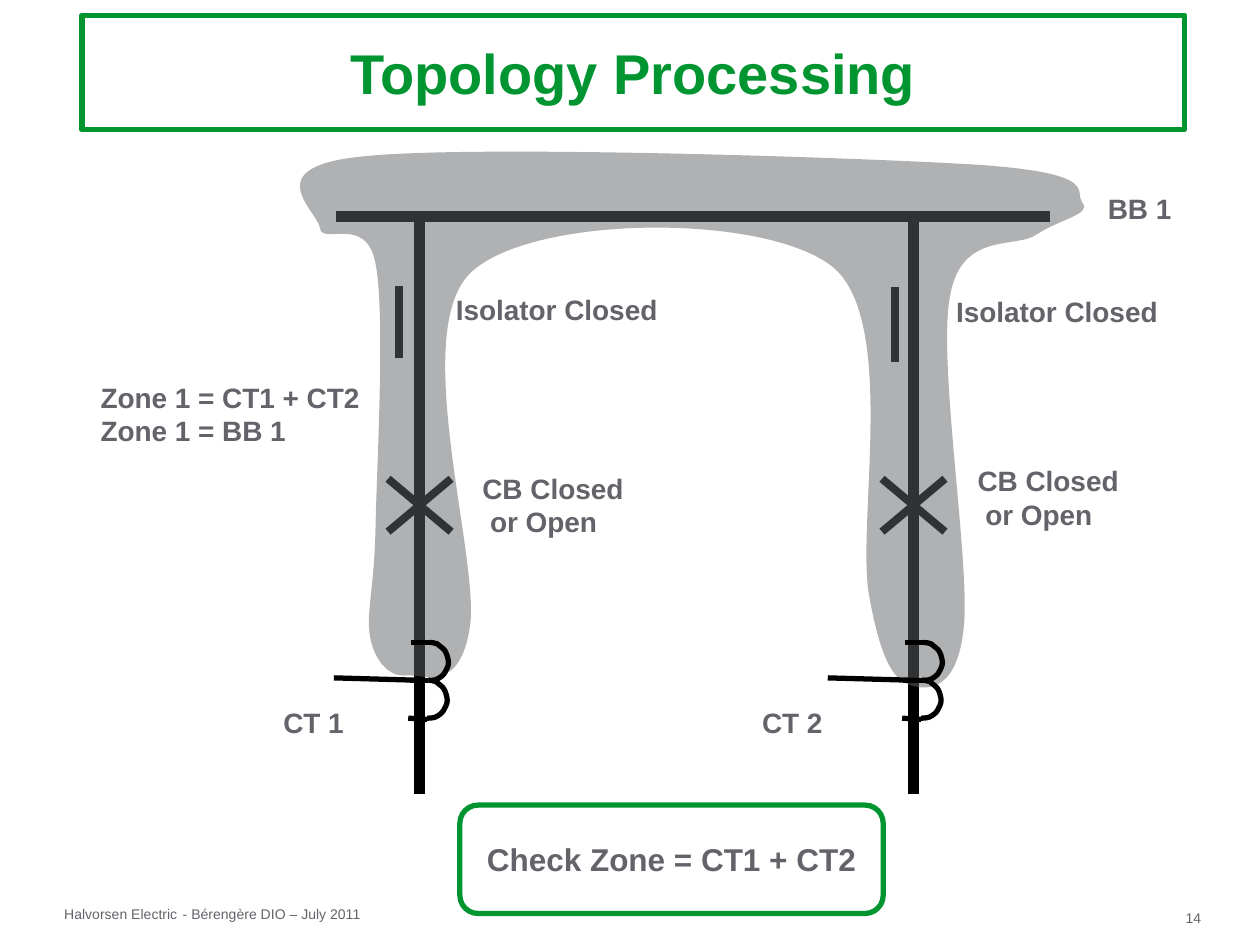
import pptx
import pptx.util
import pptx.dml.color
import pptx.enum.shapes
import pptx.enum.text
import pptx.oxml.ns
import lxml.etree

Inches = pptx.util.Inches
Pt = pptx.util.Pt
RGBColor = pptx.dml.color.RGBColor
Align = pptx.enum.text.PP_ALIGN
Anchor = pptx.enum.text.MSO_ANCHOR
AutoSize = pptx.enum.text.MSO_AUTO_SIZE
qn = pptx.oxml.ns.qn

GREEN = RGBColor(0x00, 0x95, 0x30)
GREY = RGBColor(0x62, 0x64, 0x69)
BLACK = RGBColor(0x00, 0x00, 0x00)
WHITE = RGBColor(0xFF, 0xFF, 0xFF)

BAY_TOP = 1.72
BAY_HEIGHT = 4.58

ZONE_CURVES = [
    (0.92, 3.92),
    (0.96, 4.11), (1.08, 4.23), (1.21, 4.21),
    (1.34, 4.20), (1.63, 4.36), (1.71, 3.82),
    (1.79, 3.29), (1.23, 1.50), (1.71, 1.02),
    (2.19, 0.55), (4.06, 0.54), (4.59, 0.97),
    (5.11, 1.40), (4.77, 3.04), (4.88, 3.59),
    (4.98, 4.14), (5.09, 4.25), (5.21, 4.29),
    (5.34, 4.33), (5.58, 4.34), (5.63, 3.82),
    (5.68, 3.31), (5.42, 1.72), (5.52, 1.20),
    (5.61, 0.68), (6.04, 0.83), (6.21, 0.71),
    (6.39, 0.59), (6.65, 0.55), (6.57, 0.46),
    (6.50, 0.37), (6.72, 0.23), (5.77, 0.16),
    (4.82, 0.10), (1.75, 0.00), (0.88, 0.09),
    (0.00, 0.17), (0.50, 0.52), (0.52, 0.66),
    (0.53, 0.80), (0.89, 0.55), (0.96, 0.94),
    (1.04, 1.34), (0.97, 2.55), (0.96, 3.05),
    (0.95, 3.54), (0.88, 3.72), (0.92, 3.92),
]
COIL_CURVES = [
    (0.08, 0.00),
    (0.09, 0.00), (0.12, 0.00), (0.14, 0.01),
    (0.16, 0.03), (0.20, 0.05), (0.21, 0.08),
    (0.22, 0.10), (0.23, 0.14), (0.23, 0.16),
    (0.23, 0.19), (0.21, 0.22), (0.20, 0.24),
    (0.19, 0.26), (0.16, 0.28), (0.14, 0.29),
    (0.12, 0.30), (0.08, 0.30), (0.07, 0.30),
]


def format_text(text_frame, size, color, bold, alignment=Align.LEFT):
    for paragraph in text_frame.paragraphs:
        paragraph.alignment = alignment
        for run in paragraph.runs:
            run.font.name = "Arial"
            run.font.size = Pt(size)
            run.font.bold = bold
            run.font.color.rgb = color


def add_line(slide, start, end, width):
    connector = slide.shapes.add_connector(
        pptx.enum.shapes.MSO_CONNECTOR.STRAIGHT,
        *(Inches(value) for value in (*start, *end)))
    connector.line.color.rgb = BLACK
    connector.line.width = Pt(width)
    lxml.etree.SubElement(connector._element.spPr, qn("a:effectLst"))


def add_curved_outline(slide, left, top, curves, close):
    vertices = [(Inches(left + x), Inches(top + y)) for x, y in curves]
    builder = slide.shapes.build_freeform(*vertices[0])
    builder.add_line_segments(vertices[1:], close=close)
    outline = builder.convert_to_shape()
    outline.shadow.inherit = False
    segments = list(outline._element.iter(qn("a:lnTo")))
    for index in range(0, len(segments), 3):
        curve = lxml.etree.Element(qn("a:cubicBezTo"))
        segments[index].addprevious(curve)
        for segment in segments[index:index + 3]:
            curve.append(segment[0])
            segment.getparent().remove(segment)
    return outline


def add_text(slide, left, top, width, height, text, size=16, bold=True, margins=(0.1, 0.05),
             wrap=False, alignment=Align.LEFT):
    text_box = slide.shapes.add_textbox(Inches(left), Inches(top), Inches(width), Inches(height))
    text_frame = text_box.text_frame
    text_frame.word_wrap = wrap
    text_frame.auto_size = AutoSize.SHAPE_TO_FIT_TEXT
    text_frame.margin_left = text_frame.margin_right = Inches(margins[0])
    text_frame.margin_top = text_frame.margin_bottom = Inches(margins[1])
    text_frame.text = text
    format_text(text_frame, size, GREY, bold, alignment)


def fill_frame(frame, text, size, color):
    frame.line.color.rgb = GREEN
    frame.line.width = Pt(3)
    text_frame = frame.text_frame
    text_frame.text = text
    text_frame.word_wrap = False
    text_frame.auto_size = AutoSize.NONE
    text_frame.vertical_anchor = Anchor.MIDDLE
    format_text(text_frame, size, color, True, Align.CENTER)


def add_title(slide, left, top, width, height):
    title = slide.shapes.title
    title.left, title.top = Inches(left), Inches(top)
    title.width, title.height = Inches(width), Inches(height)
    geometry = lxml.etree.SubElement(title._element.spPr, qn("a:prstGeom"), prst="roundRect")
    lxml.etree.SubElement(geometry, qn("a:avLst"))
    fill_frame(title, "Topology Processing", 32, GREEN)


def add_check_zone(slide, left, top, width, height):
    frame = slide.shapes.add_shape(
        pptx.enum.shapes.MSO_SHAPE.FLOWCHART_ALTERNATE_PROCESS,
        Inches(left), Inches(top), Inches(width), Inches(height))
    frame.shadow.inherit = False
    frame.fill.solid()
    frame.fill.fore_color.rgb = WHITE
    fill_frame(frame, "Check Zone = CT1 + CT2", 18, GREY)


def add_bay(slide, center, top, height, isolator_x, isolator_top, isolator_bottom):
    add_line(slide, (isolator_x, isolator_top), (isolator_x, isolator_bottom), 4.5)
    add_line(slide, (center, top), (center, top + height), 6)
    breaker_top, breaker_bottom = top + 2.08, top + 2.5
    for side in (-0.25, 0.25):
        add_line(slide, (center + side, breaker_top), (center - side, breaker_bottom), 4.5)


def add_zone(slide, left, top):
    zone = add_curved_outline(slide, left, top, ZONE_CURVES, True)
    zone.line.fill.background()
    zone.fill.solid()
    zone.fill.fore_color.rgb = GREY
    color = zone._element.spPr.find(qn("a:solidFill"))[0]
    lxml.etree.SubElement(color, qn("a:alpha")).set("val", "50000")


def add_current_transformer(slide, center, top):
    for shift_x, shift_y in ((0, 0), (-0.01, 0.3)):
        coil = add_curved_outline(slide, center + shift_x, top + shift_y, COIL_CURVES, False)
        coil.fill.background()
        coil.line.color.rgb = BLACK
        coil.line.width = Pt(3)
    for x1, y1, x2, y2 in ((0.08, 0, -0.07, 0), (0.07, 0.3, -0.08, 0.3),
                           (0.06, 0.61, -0.09, 0.6), (0.02, 0.3, -0.68, 0.28)):
        add_line(slide, (center + x1, top + y1), (center + x2, top + y2), 3)


def add_labels(slide):
    for left, top in ((3.52, 2.27), (7.49, 2.29)):
        add_text(slide, left, top, 1.8, 0.37, "Isolator Closed")
    for left, top in ((3.73, 3.69), (7.66, 3.63)):
        add_text(slide, left, top, 1.32, 0.64, "CB Closed\n or Open")
    for left, text in ((2.15, "CT 1"), (5.95, "CT 2")):
        add_text(slide, left, 5.55, 0.91, 0.37, text, wrap=True)
    add_text(slide, 0.7, 2.97, 2.27, 0.64, "Zone 1 = CT1 + CT2\nZone 1 = BB 1")
    add_text(slide, 8.68, 1.47, 0.73, 0.37, "BB 1", alignment=Align.CENTER)


def add_footer(slide):
    for left, top, width, text in ((0.51, 7.19, 0.9, "Halvorsen Electric"),
                                   (1.45, 7.19, 1.42, "- Bérengère DIO – July 2011"),
                                   (9.41, 7.22, 0.32, "14")):
        add_text(slide, left, top, width, 0.13, text, size=8, bold=False, margins=(0, 0),
                 wrap=text == "14")


def main():
    presentation = pptx.Presentation()
    presentation.slide_width = Inches(10)
    presentation.slide_height = Inches(7.5)
    slide = presentation.slides.add_slide(presentation.slide_layouts[5])
    add_title(slide, 0.65, 0.12, 8.75, 0.91)
    add_footer(slide)
    add_bay(slide, 3.33, BAY_TOP, BAY_HEIGHT, 3.17, 2.27, 2.84)
    add_bay(slide, 7.25, BAY_TOP, BAY_HEIGHT, 7.1, 2.28, 2.87)
    add_line(slide, (2.67, BAY_TOP), (8.33, BAY_TOP), 6)
    add_zone(slide, 2.02, 1.15)
    for center in (3.33, 7.25):
        add_current_transformer(slide, center, 5.1)
    add_labels(slide)
    add_check_zone(slide, 3.65, 6.39, 3.36, 0.86)
    presentation.save("out.pptx")


if __name__ == "__main__":
    main()
